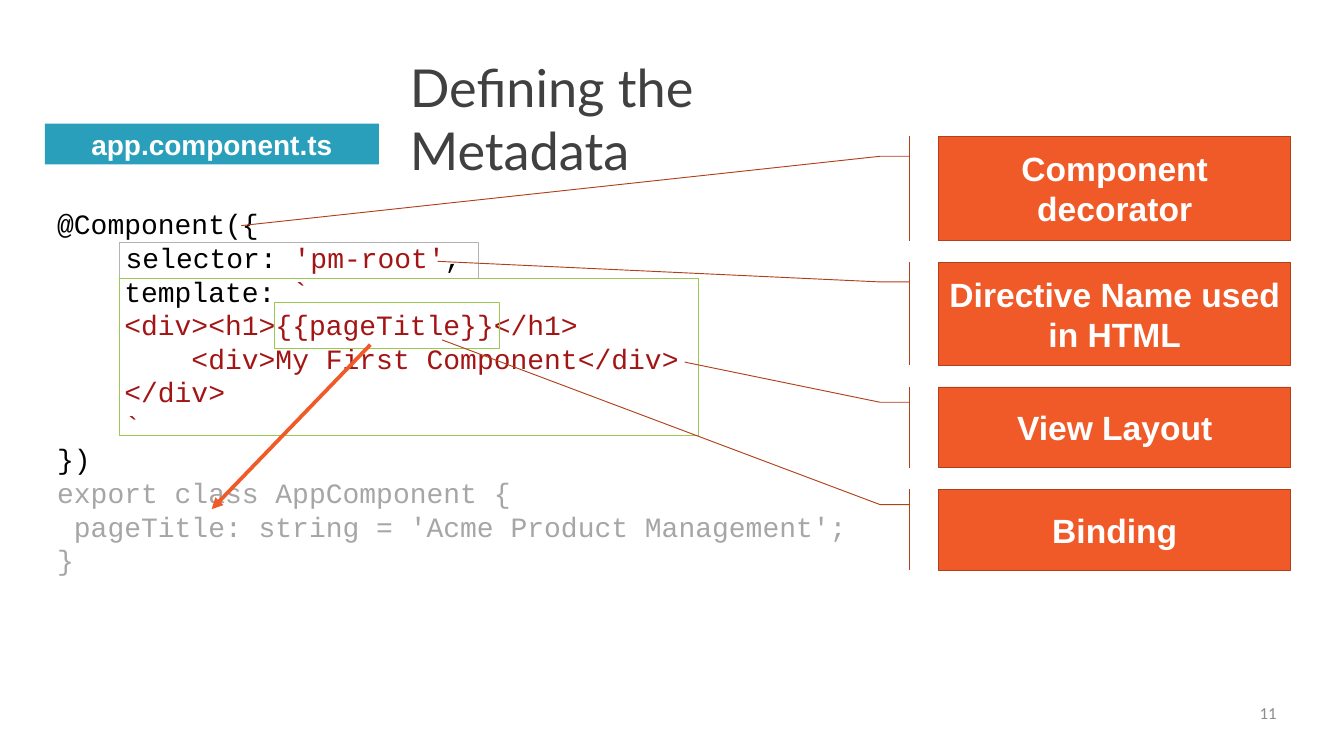
"""Build the slide that explains the metadata of a component."""
from dataclasses import dataclass

from lxml import etree
from pptx import Presentation
from pptx.dml.color import RGBColor
from pptx.enum.shapes import MSO_CONNECTOR as CONN, MSO_SHAPE as SHAPE
from pptx.enum.text import MSO_ANCHOR as ANCHOR, MSO_AUTO_SIZE as AUTO, PP_ALIGN as ALIGN
from pptx.oxml.ns import qn
from pptx.util import Cm, Pt

BLACK = RGBColor(0x00, 0x00, 0x00)
WHITE = RGBColor(0xFF, 0xFF, 0xFF)
TITLE = RGBColor(0x40, 0x40, 0x40)
STRING = RGBColor(0xA3, 0x15, 0x15)
FADED = RGBColor(0xA6, 0xA6, 0xA6)
NUMBER = RGBColor(0x8C, 0x8C, 0x8C)
ORANGE = RGBColor(0xF0, 0x5A, 0x28)
RUST = RGBColor(0xB0, 0x40, 0x1A)
TEAL = RGBColor(0x2A, 0x9F, 0xBC)
GREEN = RGBColor(0x9B, 0xC8, 0x50)
GRAY = RGBColor(0xB3, 0xB3, 0xB3)

CODE_TOP, ROW = 7.82, 1.27
OUTER, INNER = 2.16, 4.7
BOX_LEFT, BOX_WIDTH, BOX_GAP = 35.48, 13.31, 0.82
BAR_X, ELBOW_X, ELBOW_SHARE = 34.37, 33.27, 0.19


@dataclass
class Code:
    row: int
    left: float
    width: float
    lines: list[list[tuple[str, RGBColor]]]


@dataclass
class Callout:
    text: str
    height: float
    target: tuple[float, float]


CODES = [
    Code(0, OUTER, 7.9, [[("@Component({", BLACK)]]),
    Code(2, INNER, 7.2, [[("template: ", BLACK), ("`", STRING)]]),
    Code(3, INNER, 21.4, [
        [("<div><h1>{{pageTitle}}</h1>", STRING)],
        [("    <div>My First Component</div>", STRING)],
        [("</div>", STRING)],
        [("`", STRING)],
    ]),
    Code(7, OUTER, 1.5, [[("})", BLACK)]]),
    Code(8, OUTER, 30.2, [
        [("export class AppComponent {", FADED)],
        [(" pageTitle: string = 'Acme Product Management';", FADED)],
        [("}", FADED)],
    ]),
]
SELECTOR = [[("selector: ", BLACK), ("'pm-root'", STRING), (",", BLACK)]]
CALLOUTS = [
    Callout("Component decorator", 3.94, (9.12, 8.53)),
    Callout("Directive Name used in HTML", 3.89, (16.54, 9.88)),
    Callout("View Layout", 3.05, (25.88, 13.69)),
    Callout("Binding", 3.05, (16.71, 12.85)),
]


def set_frame(tf, anchor=ANCHOR.TOP, side: float = 0) -> None:
    """Set wrapping, anchor and margins of a text frame."""
    tf.word_wrap = True
    tf.auto_size = AUTO.NONE
    tf.vertical_anchor = anchor
    tf.margin_top = tf.margin_bottom = 0
    tf.margin_left = tf.margin_right = Cm(side)


def set_font(r, name: str, size: float, color: RGBColor, bold: bool = False) -> None:
    """Format one run."""
    r.font.name, r.font.size, r.font.bold = name, Pt(size), bold
    r.font.color.rgb = color


def fill_text(tf, text: str, name: str, size: float, color: RGBColor,
              align=ALIGN.CENTER, bold: bool = False):
    """Write one paragraph in one style and return it."""
    tf.text = text
    p = tf.paragraphs[0]
    p.alignment = align
    set_font(p.runs[0], name, size, color, bold)
    return p


def add_textbox(s, left: float, top: float, width: float, height: float):
    """Add a text box without margins and return its frame."""
    tf = s.shapes.add_textbox(Cm(left), Cm(top), Cm(width), Cm(height)).text_frame
    set_frame(tf)
    return tf


def write_code(tf, lines: list[list[tuple[str, RGBColor]]], pitch: float) -> None:
    """Write coloured code lines with a fixed pitch in points."""
    for i, line in enumerate(lines):
        p = tf.add_paragraph() if i else tf.paragraphs[0]
        p.alignment = ALIGN.LEFT
        p.line_spacing = Pt(pitch)
        for text, color in line:
            r = p.add_run()
            r.text = text
            set_font(r, "Courier New", 30, color)


def add_rect(s, left: float, top: float, width: float, height: float,
             fill: RGBColor | None = None, line: RGBColor | None = None):
    """Add a rectangle with an optional fill and outline."""
    sp = s.shapes.add_shape(SHAPE.RECTANGLE, Cm(left), Cm(top), Cm(width), Cm(height))
    sp.shadow.inherit = False
    if fill is None:
        sp.fill.background()
    else:
        sp.fill.solid()
        sp.fill.fore_color.rgb = fill
    if line is None:
        sp.line.fill.background()
    else:
        sp.line.color.rgb = line
        sp.line.width = Pt(1)
    return sp


def add_callout(s, callout: Callout, top: float) -> None:
    """Draw a label box with its accent bar and leader line."""
    elbow_y = top + ELBOW_SHARE * callout.height
    fb = s.shapes.build_freeform(Cm(BAR_X), Cm(top))
    fb.add_line_segments([(Cm(BAR_X), Cm(top + callout.height))], close=False)
    fb.move_to(Cm(BAR_X), Cm(elbow_y))
    x, y = callout.target
    fb.add_line_segments([(Cm(ELBOW_X), Cm(elbow_y)), (Cm(x), Cm(y))], close=False)
    leader = fb.convert_to_shape()
    leader.shadow.inherit = False
    leader.fill.background()
    leader.line.color.rgb = RUST
    leader.line.width = Pt(1)

    sp = add_rect(s, BOX_LEFT, top, BOX_WIDTH, callout.height, ORANGE, RUST)
    set_frame(sp.text_frame, ANCHOR.MIDDLE, 0.25)
    p = fill_text(sp.text_frame, callout.text, "Arial", 36, WHITE, bold=True)
    p.line_spacing = Pt(43)


def add_arrow(s, start: tuple[float, float], end: tuple[float, float]) -> None:
    """Draw a thick orange arrow."""
    points = [Cm(v) for v in (*start, *end)]
    cxn = s.shapes.add_connector(CONN.STRAIGHT, *points)
    cxn.line.color.rgb = ORANGE
    cxn.line.width = Pt(4)
    etree.SubElement(cxn.line._get_or_add_ln(), qn("a:tailEnd"), type="triangle")
    etree.SubElement(cxn._element.spPr, qn("a:effectLst"))


def main() -> None:
    """Build and save the slide."""
    prs = Presentation()
    prs.slide_width, prs.slide_height = Cm(50.8), Cm(28.58)
    s = prs.slides.add_slide(prs.slide_layouts[5])

    title = s.shapes.title
    title.left, title.top, title.width, title.height = Cm(15.49), Cm(2.08), Cm(19.05), Cm(2.44)
    set_frame(title.text_frame)
    fill_text(title.text_frame, "Defining the Metadata", "Lato", 56, TITLE, ALIGN.LEFT)

    for code in CODES:
        tf = add_textbox(s, code.left, CODE_TOP + code.row * ROW,
                         code.width, len(code.lines) * ROW)
        write_code(tf, code.lines, 36)

    selector = add_rect(s, 4.5, 9.17, 13.59, 1.37, line=GRAY)
    set_frame(selector.text_frame, side=0.25)
    write_code(selector.text_frame, SELECTOR, 34.2)
    add_rect(s, 4.5, 10.54, 21.89, 5.94, line=GREEN)
    add_rect(s, 10.39, 11.43, 8.48, 1.73, line=GREEN)
    add_arrow(s, (14, 13.03), (8, 19.25))

    top = 5.16
    for callout in CALLOUTS:
        add_callout(s, callout, top)
        top += callout.height + BOX_GAP

    tab = add_rect(s, 1.7, 4.67, 12.62, 1.55, TEAL)
    set_frame(tab.text_frame, ANCHOR.MIDDLE)
    fill_text(tab.text_frame, "app.component.ts", "Arial", 30, WHITE, bold=True)

    tf = add_textbox(s, 36.58, 26.57, 11.68, 1.42)
    fill_text(tf, "11", "Calibri", 18, NUMBER, ALIGN.RIGHT)
    prs.save("out.pptx")


if __name__ == "__main__":
    main()
